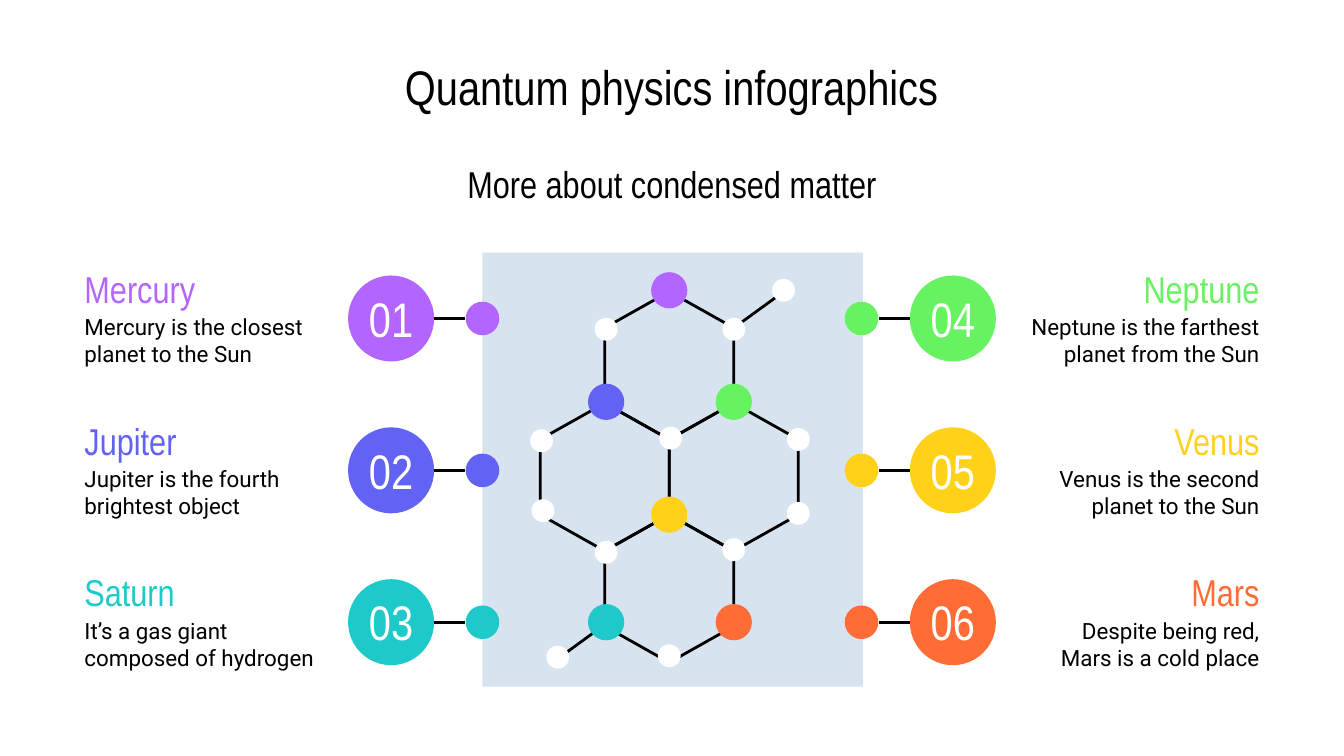
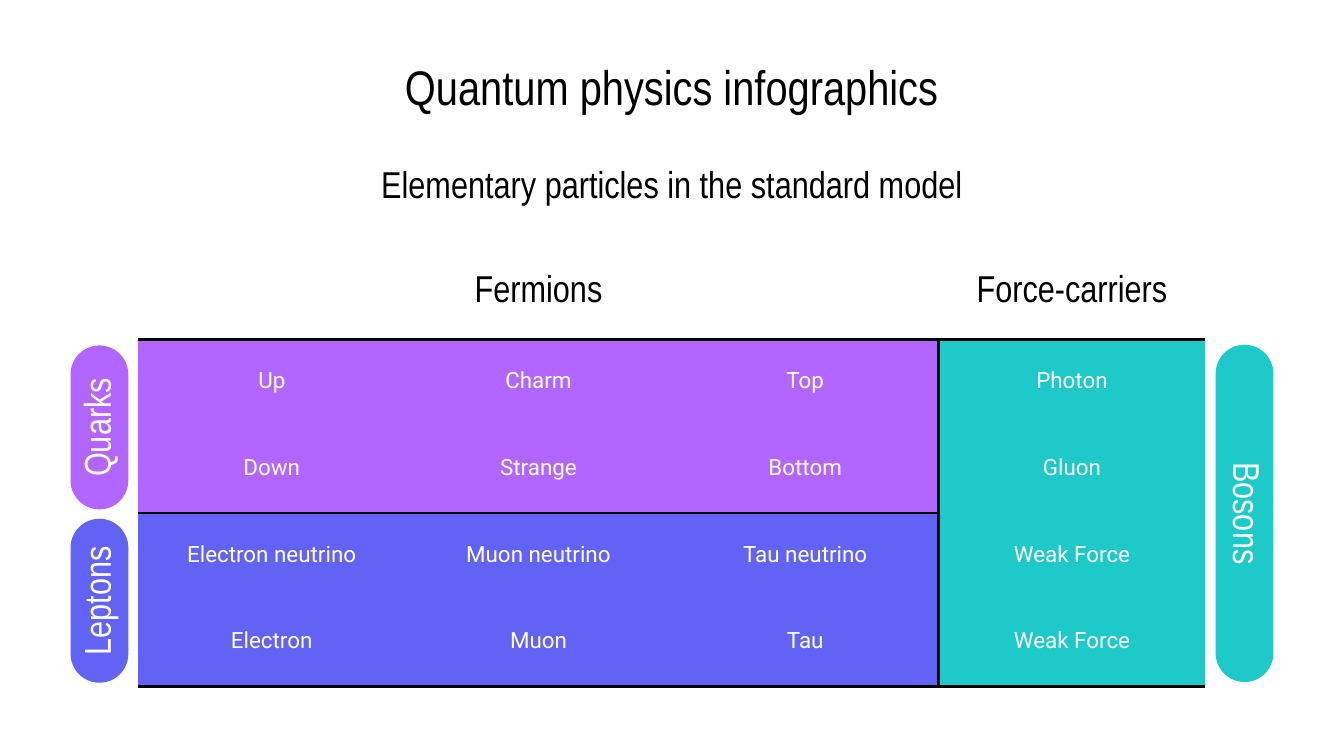
from dataclasses import dataclass

from lxml import etree
from pptx import Presentation
from pptx.dml.color import RGBColor
from pptx.enum.shapes import MSO_CONNECTOR, MSO_SHAPE
from pptx.enum.text import MSO_ANCHOR, MSO_AUTO_SIZE, PP_ALIGN
from pptx.oxml.ns import qn
from pptx.util import Inches, Pt

LEFT, CENTER, RIGHT = PP_ALIGN.LEFT, PP_ALIGN.CENTER, PP_ALIGN.RIGHT
MIDDLE = MSO_ANCHOR.MIDDLE
NO_FIT = MSO_AUTO_SIZE.NONE
STRAIGHT = MSO_CONNECTOR.STRAIGHT
RECT, OVAL, ROUNDED = MSO_SHAPE.RECTANGLE, MSO_SHAPE.OVAL, MSO_SHAPE.ROUNDED_RECTANGLE


@dataclass(frozen=True)
class Theme:
    black: str = "000000"
    white: str = "FFFFFF"
    panel: str = "D7E4F0"
    purple: str = "B366FF"
    blue: str = "6262F5"
    teal: str = "1EC9C9"
    green: str = "66F261"
    yellow: str = "FFD119"
    orange: str = "FF6C36"
    head_font: str = "Arial Narrow"
    body_font: str = "Roboto"
    title_size: int = 26
    head_size: int = 20
    body_size: int = 12
    line_width: float = 1.5


THEME = Theme()
HEAD = dict(font=THEME.head_font, size=THEME.head_size)
NUMBER = dict(font=THEME.head_font, size=THEME.title_size, color=THEME.white,
              align=CENTER, insets=(0, 0.1, 0, 0.11))
BODY = dict(font=THEME.body_font, size=THEME.body_size)


def rgb(color):
    return RGBColor.from_string(color)


def write(tf, text, font, size, color=THEME.black, align=LEFT,
          insets=(0.1, 0.1, 0.1, 0.1), cell=None):
    if cell is None:
        tf.word_wrap = True
        tf.auto_size = NO_FIT
    box = cell or tf
    box.vertical_anchor = MIDDLE
    box.margin_left, box.margin_top, box.margin_right, box.margin_bottom = map(Inches, insets)
    p = tf.paragraphs[0]
    p.alignment = align
    r = p.add_run()
    r.text = text
    r.font.name = font
    r.font.size = Pt(size)
    r.font.color.rgb = rgb(color)


class Deck:
    def __init__(self, theme):
        self.theme = theme
        self.prs = Presentation()
        self.prs.slide_width = Inches(10)
        self.prs.slide_height = Inches(10) * 9 // 16
        self.slide = None

    def new_slide(self, title, subtitle):
        self.slide = self.prs.slides.add_slide(self.prs.slide_layouts[5])
        sp = self.slide.shapes.title
        sp.left, sp.top, sp.width, sp.height = map(Inches, (2.2, 0.33, 5.6, 0.62))
        write(sp.text_frame, title, self.theme.head_font, self.theme.title_size, align=CENTER)
        self.text(2.2, 1.18, 5.6, 0.37, subtitle, align=CENTER, **HEAD)

    def text(self, x, y, w, h, text, **fmt):
        sp = self.slide.shapes.add_textbox(*map(Inches, (x, y, w, h)))
        write(sp.text_frame, text, **fmt)

    def shape(self, kind, x, y, w, h, fill):
        sp = self.slide.shapes.add_shape(kind, *map(Inches, (x, y, w, h)))
        sp.shadow.inherit = False
        sp.fill.solid()
        sp.fill.fore_color.rgb = rgb(fill)
        sp.line.fill.background()
        return sp

    def circle(self, cx, cy, d, fill):
        return self.shape(OVAL, cx - d / 2, cy - d / 2, d, d, fill)

    def stroke(self, sp):
        sp.line.color.rgb = rgb(self.theme.black)
        sp.line.width = Pt(self.theme.line_width)

    def line(self, x1, y1, x2, y2):
        cxn = self.slide.shapes.add_connector(STRAIGHT, *map(Inches, (x1, y1, x2, y2)))
        self.stroke(cxn)
        etree.SubElement(cxn._element.spPr, qn("a:effectLst"))

    def outline(self, points):
        points = [(Inches(x), Inches(y)) for x, y in points]
        fb = self.slide.shapes.build_freeform(*points[0])
        fb.add_line_segments(points[1:], close=True)
        sp = fb.convert_to_shape()
        sp.shadow.inherit = False
        sp.fill.background()
        self.stroke(sp)

    def pill(self, cx, cy, length, rotation, text, fill):
        h = 0.43
        sp = self.shape(ROUNDED, cx - length / 2, cy - h / 2, length, h, fill)
        sp.adjustments[0] = 0.5
        sp.rotation = rotation
        write(sp.text_frame, text, color=self.theme.white, align=CENTER,
              insets=(0.1, 0.05, 0.1, 0.1), **HEAD)

    def table(self, x, y, w, h, rows):
        n, m = len(rows), len(rows[0])
        tbl = self.slide.shapes.add_table(n, m, *map(Inches, (x, y, w, h))).table
        tbl.first_row = tbl.horz_banding = False
        return tbl

    def cell(self, cell, text, fill, edges, **fmt):
        if fill:
            cell.fill.solid()
            cell.fill.fore_color.rgb = rgb(fill)
        else:
            cell.fill.background()
        if text:
            write(cell.text_frame, text, align=CENTER, cell=cell, **fmt)
        tc_pr = cell._tc.get_or_add_tcPr()
        for i, side in enumerate("LRTB"):
            ln = etree.Element(qn("a:ln" + side), w=str(Pt(self.theme.line_width)))
            if side in edges:
                solid = etree.SubElement(ln, qn("a:solidFill"))
                etree.SubElement(solid, qn("a:srgbClr"), val=self.theme.black)
            else:
                etree.SubElement(ln, qn("a:noFill"))
            tc_pr.insert(i, ln)


def draw_molecule(deck):
    t = deck.theme
    deck.shape(RECT, 3.59, 1.88, 2.83, 3.23, t.panel)
    half_w, half_h, shoulder = 0.48, 0.55, 0.28
    mid_x, top_y, step = 4.98, 2.72, half_h + shoulder
    for column, row in ((0, 2), (-1, 1), (1, 1), (0, 0)):
        cx, cy = mid_x + column * half_w, top_y + row * step
        deck.outline([
            (cx - half_w, cy - shoulder), (cx, cy - half_h), (cx + half_w, cy - shoulder),
            (cx + half_w, cy + shoulder), (cx, cy + half_h), (cx - half_w, cy + shoulder),
        ])
    deck.line(5.46, 2.44, 5.79, 2.2)
    deck.line(4.18, 4.88, 4.51, 4.64)
    for cx, cy in (
        (5.83, 2.16), (4.51, 2.45), (5.46, 2.45), (4.03, 3.28), (4.99, 3.26), (5.94, 3.27),
        (4.04, 3.8), (5.94, 3.82), (4.51, 4.11), (5.46, 4.09), (4.15, 4.89), (4.98, 4.88),
    ):
        deck.circle(cx, cy, 0.17, t.white)
    for cx, cy, color in (
        (4.98, 2.16, t.purple), (4.51, 2.99, t.blue), (5.46, 2.99, t.green),
        (4.98, 3.83, t.yellow), (4.51, 4.63, t.teal), (5.46, 4.63, t.orange),
    ):
        deck.circle(cx, cy, 0.27, color)


def draw_planets(deck):
    t = deck.theme
    planets = (
        ("Mercury", "Mercury is the closest planet to the Sun", t.purple),
        ("Jupiter", "Jupiter is the fourth brightest object", t.blue),
        ("Saturn", "It’s a gas giant composed of hydrogen", t.teal),
        ("Neptune", "Neptune is the farthest planet from the Sun", t.green),
        ("Venus", "Venus is the second planet to the Sun", t.yellow),
        ("Mars", "Despite being red, Mars is a cold place", t.orange),
    )
    sides = (
        dict(text_x=0.53, badge_x=2.91, dot_x=3.59, line=(3.23, 3.46), align=LEFT),
        dict(text_x=7.55, badge_x=7.09, dot_x=6.41, line=(6.54, 6.77), align=RIGHT),
    )
    for i, (name, fact, color) in enumerate(planets):
        column, row = divmod(i, 3)
        side = sides[column]
        cy = 2.37 + 1.13 * row
        start, end = side["line"]
        deck.text(side["text_x"], cy - 0.41, 1.92, 0.37, name,
                  color=color, align=side["align"], **HEAD)
        deck.text(side["text_x"], cy - 0.05, 1.92, 0.42, fact, align=side["align"], **BODY)
        badge = deck.circle(side["badge_x"], cy, 0.64, color)
        write(badge.text_frame, f"{i + 1:02d}", **NUMBER)
        deck.circle(side["dot_x"], cy, 0.25, color)
        deck.line(start, cy, end, cy)


def draw_particles(deck):
    t = deck.theme
    deck.pill(9.26, 3.82, 2.51, 90, "Bosons", t.teal)
    deck.pill(0.74, 3.18, 1.22, 270, "Quarks", t.purple)
    deck.pill(0.74, 4.47, 1.22, 270, "Leptons", t.blue)
    rows = (
        ("Fermions", "", "", "Force-carriers"),
        ("Up", "Charm", "Top", "Photon"),
        ("Down", "Strange", "Bottom", "Gluon"),
        ("Electron neutrino", "Muon neutrino", "Tau neutrino", "Weak Force"),
        ("Electron", "Muon", "Tau", "Weak Force"),
    )
    row_fills = (None, t.purple, t.purple, t.blue, t.blue)
    head = dict(HEAD, insets=(0.1, 0.05, 0.1, 0.1))
    body = dict(BODY, color=t.white, insets=(0.1, 0.07, 0.1, 0.1))
    tbl = deck.table(1.03, 1.88, 7.94, 3.23, rows)
    tbl.cell(0, 0).merge(tbl.cell(0, 2))

    def ruled_above(i, j):
        return i in (1, 5) or (i == 3 and j < 3)

    for i, row in enumerate(rows):
        for j, text in enumerate(row):
            edges = {
                "L": i > 0 and j == 3,
                "R": i > 0 and j == 2,
                "T": ruled_above(i, j),
                "B": ruled_above(i + 1, j),
            }
            fill = t.teal if i and j == 3 else row_fills[i]
            deck.cell(tbl.cell(i, j), text, fill,
                      [side for side, ruled in edges.items() if ruled],
                      **(body if i else head))


def main():
    deck = Deck(THEME)
    title = "Quantum physics infographics"
    deck.new_slide(title, "More about condensed matter")
    draw_molecule(deck)
    draw_planets(deck)
    deck.new_slide(title, "Elementary particles in the standard model")
    draw_particles(deck)
    deck.prs.save("out.pptx")


if __name__ == "__main__":
    main()
